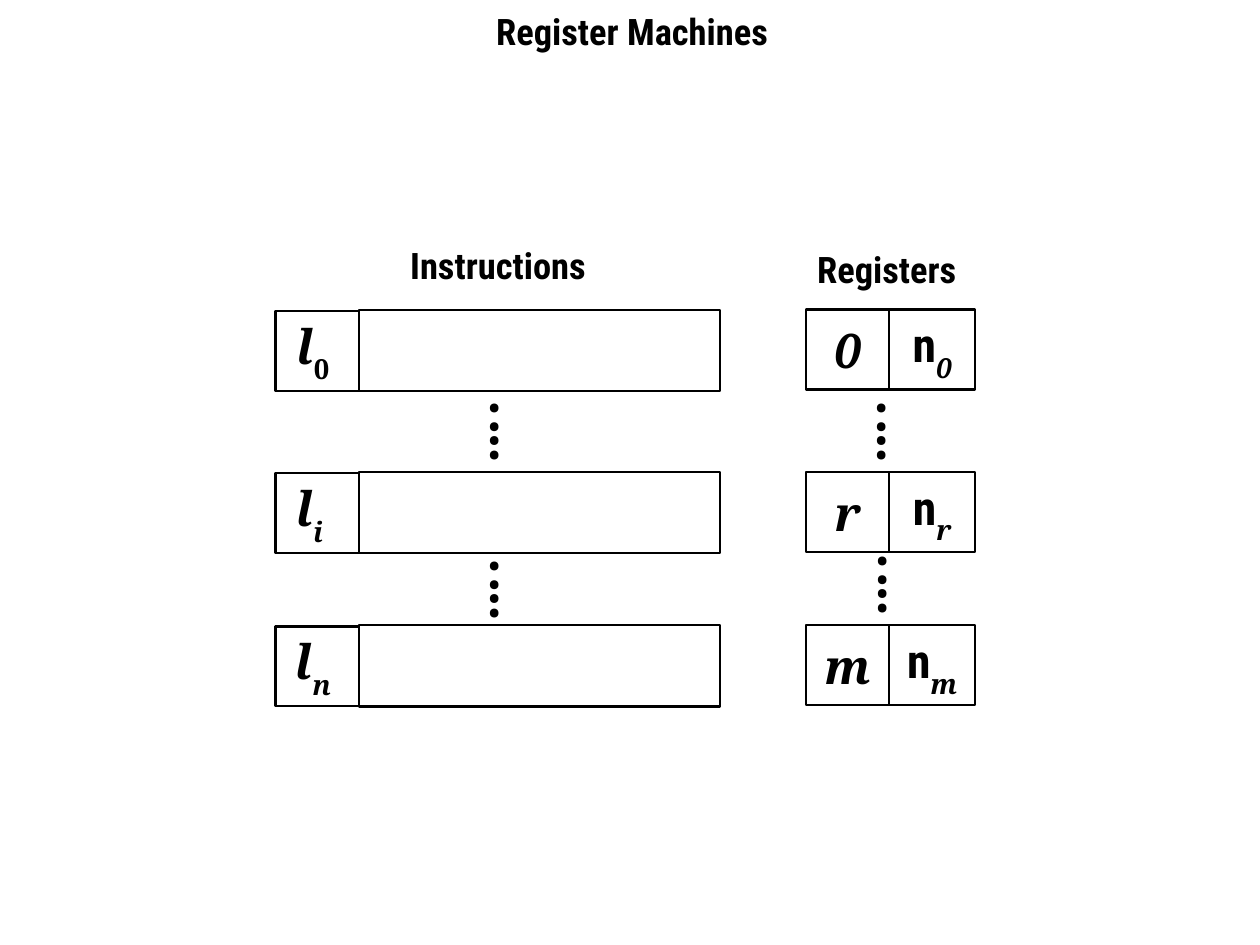
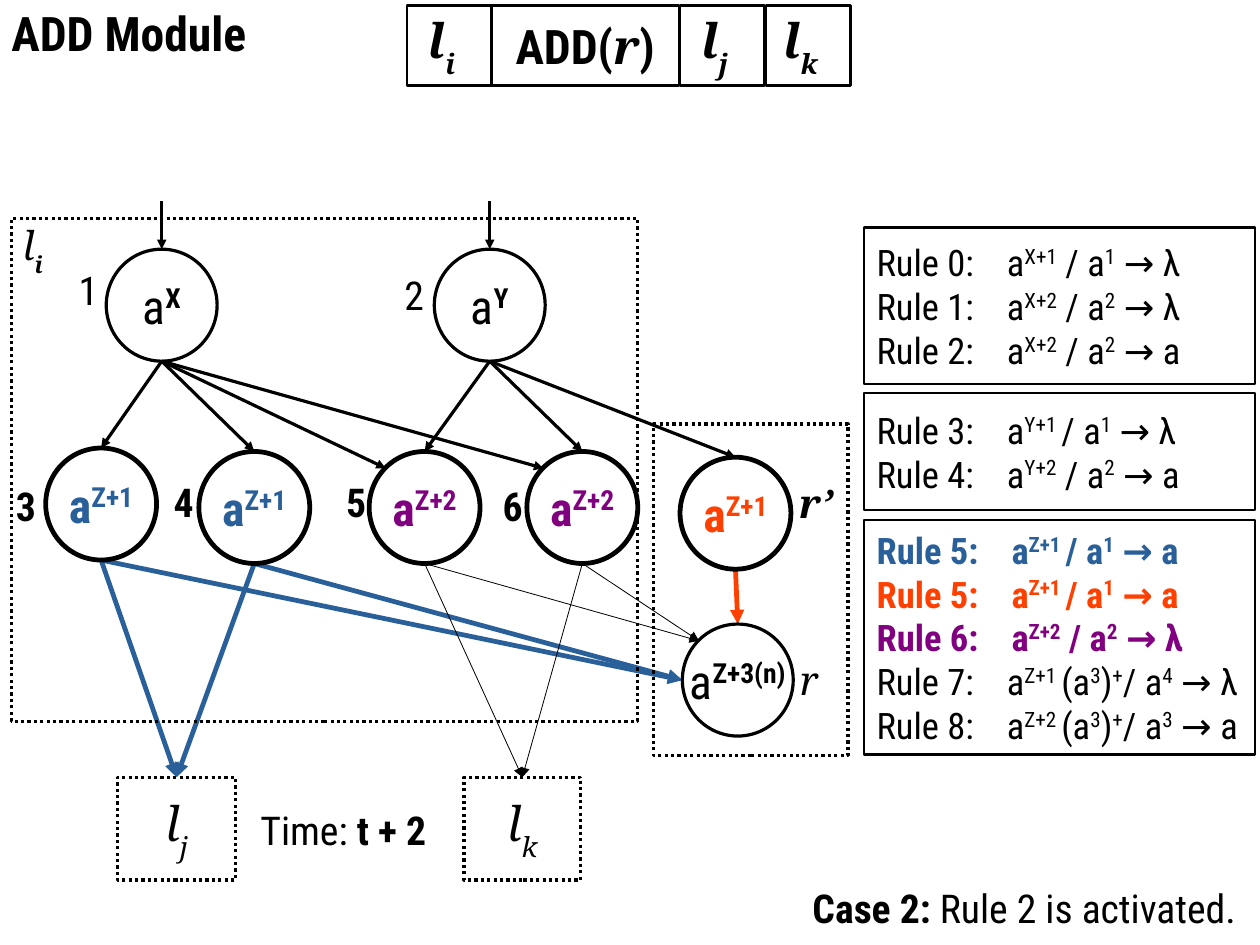
from dataclasses import dataclass, replace

from lxml.etree import SubElement
from pptx import Presentation
from pptx.dml.color import RGBColor
from pptx.enum.dml import MSO_LINE
from pptx.enum.shapes import MSO_CONNECTOR, MSO_SHAPE
from pptx.enum.text import MSO_ANCHOR, PP_ALIGN
from pptx.oxml.ns import qn
from pptx.slide import Slide
from pptx.text.text import Font, TextFrame
from pptx.util import Cm, Inches, Pt

COLORS = {
    "black": "000000",
    "blue": "2A6099",
    "orange": "FF4000",
    "purple": "800080",
}
SANS = "Roboto Condensed"
SERIF = "Noto Serif"
RAISED, LOWERED = 33, -33
CIRCLE_WIDTH, CIRCLE_HEIGHT = 0.97, 0.98
CELL_HEIGHT = 0.7
TITLE_LAYOUT = 5


@dataclass(frozen=True)
class Style:
    size: float
    name: str = SANS
    bold: bool = False
    italic: bool = False
    color: str = "black"


@dataclass(frozen=True)
class Span:
    text: str
    style: Style | None = None
    baseline: int = 0


@dataclass(frozen=True)
class Line:
    style: Style
    spans: tuple[Span, ...]
    tab: float = 0


@dataclass(frozen=True)
class Area:
    left: float
    top: float
    width: float
    height: float

    def point(self, across: float, down: float) -> tuple[float, float]:
        return self.left + across * self.width, self.top + down * self.height


@dataclass(frozen=True)
class Neuron:
    left: float
    top: float
    exponent: str
    color: str = "black"
    active: bool = False

    @property
    def area(self) -> Area:
        return Area(self.left, self.top, CIRCLE_WIDTH, CIRCLE_HEIGHT)


@dataclass(frozen=True)
class Arrow:
    start: tuple[float, float]
    end: tuple[float, float]
    color: str = "black"
    width: float = 2


@dataclass(frozen=True)
class Rule:
    number: int
    formula: str
    color: str = "black"


@dataclass(frozen=True)
class MachineRow:
    top: float
    label: str
    register: str
    label_italic: bool = True
    nudge: float = 0.07


HEADING = Style(23, bold=True)
BIG_TITLE = Style(30, bold=True)
SYMBOL = Style(30, SERIF, italic=True)
BOLD_SYMBOL = replace(SYMBOL, bold=True)
NOTE = Style(25)
BOLD_NOTE = replace(NOTE, bold=True)
SMALL_SYMBOL = Style(25, SERIF, italic=True)

MACHINE_ROWS = (
    MachineRow(2.71, "0", "0", label_italic=False),
    MachineRow(4.13, "i", "r", nudge=0.13),
    MachineRow(5.47, "n", "m"),
)

NEURONS = {
    "1": Neuron(0.93, 2.18, "X"),
    "2": Neuron(3.8, 2.18, "Y"),
    "3": Neuron(0.4, 3.92, "Z+1", "blue", True),
    "4": Neuron(1.74, 3.95, "Z+1", "blue", True),
    "5": Neuron(3.23, 3.95, "Z+2", "purple", True),
    "6": Neuron(4.61, 3.95, "Z+2", "purple", True),
    "r’": Neuron(5.95, 4, "Z+1", "orange", True),
    "r": Neuron(5.97, 5.46, "Z+3(n)"),
}
NEURON_LABELS = (
    ("1", 0.59, 2.28, NOTE),
    ("2", 3.44, 2.32, NOTE),
    ("3", 0.04, 4.17, BOLD_NOTE),
    ("4", 1.42, 4.13, BOLD_NOTE),
    ("5", 2.93, 4.13, BOLD_NOTE),
    ("6", 4.3, 4.17, BOLD_NOTE),
    ("r", 6.9, 5.69, SMALL_SYMBOL),
    ("r’", 6.89, 4.14, replace(SMALL_SYMBOL, bold=True)),
)
TOP, BOTTOM, LEFT, TOP_LEFT = (0.5, 0), (0.5, 1), (0, 0.5), (0.15, 0.15)
EDGES = (
    ("1", "3", TOP, "black", 2),
    ("1", "4", TOP, "black", 2),
    ("1", "5", TOP_LEFT, "black", 2),
    ("1", "6", TOP_LEFT, "black", 2),
    ("2", "5", TOP, "black", 2),
    ("2", "6", TOP, "black", 2),
    ("2", "r’", TOP, "black", 2),
    ("r’", "r", TOP, "orange", 3),
    ("6", "r", TOP_LEFT, "black", 0.5),
    ("5", "r", TOP_LEFT, "black", 0.5),
    ("4", "r", LEFT, "blue", 3),
    ("3", "r", LEFT, "blue", 3),
)
OUTPUTS = (
    ("j", Area(1.03, 6.8, 1.03, 0.9), ("3", "4"), "blue", 3),
    ("k", Area(4.06, 6.8, 1.02, 0.9), ("6", "5"), "black", 0.5),
)
RULE_BOXES = (
    (1.99, 1.37, (
        Rule(0, "a^X+1^ / a^1^ → λ"),
        Rule(1, "a^X+2^ / a^2^ → λ"),
        Rule(2, "a^X+2^ / a^2^ → a"),
    )),
    (3.44, 1.02, (
        Rule(3, "a^Y+1 ^/ a^1^ → λ"),
        Rule(4, "a^Y+2^ / a^2^ → a"),
    )),
    (4.55, 2.05, (
        Rule(5, "a^Z+1 ^/ a^1^ → a", "blue"),
        Rule(5, "a^Z+1 ^/ a^1^ → a", "orange"),
        Rule(6, "a^Z+2^ / a^2^ → λ", "purple"),
        Rule(7, "a^Z+1 ^(a^3^)^+^/ a^4^ → λ"),
        Rule(8, "a^Z+2 ^(a^3^)^+^/ a^3^ → a"),
    )),
)


def plain(text: str, style: Style) -> Line:
    return Line(style, (Span(text),))


def subscripted(base: str, index: str, style: Style, index_style: Style | None = None) -> Line:
    return Line(style, (Span(base), Span(index, index_style, LOWERED)))


def rule_line(rule: Rule) -> Line:
    bold = rule.color != "black"
    pieces = f"Rule {rule.number}:\t{rule.formula}".split("^")
    spans = tuple(
        Span(piece, baseline=RAISED if index % 2 else 0) for index, piece in enumerate(pieces)
    )
    return Line(Style(23, bold=bold, color=rule.color), spans, 1.18 if bold else 1.14)


def apply_style(font: Font, style: Style) -> None:
    font.size = Pt(style.size)
    font.name = style.name
    font.bold = style.bold
    font.italic = style.italic
    font.color.rgb = RGBColor.from_string(COLORS[style.color])


def write_lines(
    frame: TextFrame,
    lines: tuple[Line, ...],
    align: PP_ALIGN,
    anchor: MSO_ANCHOR,
    insets: tuple[float, float, float],
    wrap: bool,
) -> None:
    left, vertical, right = insets
    frame.margin_left, frame.margin_right = Inches(left), Inches(right)
    frame.margin_top = frame.margin_bottom = Inches(vertical)
    frame.vertical_anchor = anchor
    frame.word_wrap = wrap
    for index, line in enumerate(lines):
        para = frame.add_paragraph() if index else frame.paragraphs[0]
        para.alignment = align
        if line.tab:
            tabs = SubElement(para._p.get_or_add_pPr(), qn("a:tabLst"))
            SubElement(tabs, qn("a:tab"), pos=str(Inches(line.tab)), algn="l")
        apply_style(para.font, line.style)
        for span in line.spans:
            run = para.add_run()
            run.text = span.text
            if span.style:
                apply_style(run.font, span.style)
            if span.baseline:
                run._r.get_or_add_rPr().set("baseline", str(span.baseline * 1000))


def inches(area: Area) -> tuple[int, int, int, int]:
    return Inches(area.left), Inches(area.top), Inches(area.width), Inches(area.height)


def add_box(
    page: Slide,
    area: Area,
    lines: tuple[Line, ...] = (),
    width: float = 1.5,
    dotted: bool = False,
    kind: MSO_SHAPE = MSO_SHAPE.RECTANGLE,
    nudge: float = 0,
    listing: bool = False,
) -> None:
    box = page.shapes.add_shape(kind, *inches(area))
    box.shadow.inherit = False
    box.fill.background()
    box.line.color.rgb = RGBColor.from_string(COLORS["black"])
    box.line.width = Pt(width)
    if dotted:
        box.line.dash_style = MSO_LINE.ROUND_DOT
    if lines:
        align = PP_ALIGN.LEFT if listing else PP_ALIGN.CENTER
        right = 0.02 if listing else 0.11 + nudge
        write_lines(box.text_frame, lines, align, MSO_ANCHOR.MIDDLE, (0.11, 0.06, right), listing)


def add_label(page: Slide, area: Area, line: Line, rotation: float = 0) -> None:
    box = page.shapes.add_textbox(*inches(area))
    box.rotation = rotation
    write_lines(box.text_frame, (line,), PP_ALIGN.LEFT, MSO_ANCHOR.TOP, (0.1, 0.05, 0), True)


def add_arrow(page: Slide, arrow: Arrow) -> None:
    ends = [Inches(value) for value in (*arrow.start, *arrow.end)]
    connector = page.shapes.add_connector(MSO_CONNECTOR.STRAIGHT, *ends)
    connector.line.color.rgb = RGBColor.from_string(COLORS[arrow.color])
    connector.line.width = Pt(arrow.width)
    SubElement(connector.line._get_or_add_ln(), qn("a:tailEnd"), type="triangle")
    SubElement(connector._element.spPr, qn("a:effectLst"))


def add_page(deck: Presentation, area: Area, title: str, style: Style) -> Slide:
    page = deck.slides.add_slide(deck.slide_layouts[TITLE_LAYOUT])
    box = page.shapes.title
    box.left, box.top, box.width, box.height = inches(area)
    lines = (plain(title, style),)
    write_lines(box.text_frame, lines, PP_ALIGN.LEFT, MSO_ANCHOR.TOP, (0.1, 0.05, 0), True)
    return page


def build_register_machines(deck: Presentation) -> None:
    page = add_page(deck, Area(4.24, 0.03, 2.59, 0.52), "Register Machines", HEADING)
    add_label(page, Area(3.49, 2.08, 1.79, 0.52), plain("Instructions", HEADING))
    add_label(page, Area(7.05, 2.11, 1.49, 0.52), plain("Registers", HEADING))
    for row in MACHINE_ROWS:
        index_style = replace(BOLD_SYMBOL, italic=row.label_italic)
        label = subscripted("l", row.label, BOLD_SYMBOL, index_style)
        content = subscripted("n", row.register, BIG_TITLE, BOLD_SYMBOL)
        register = plain(row.register, BOLD_SYMBOL)
        add_box(page, Area(2.41, row.top + 0.01, 0.73, CELL_HEIGHT), (label,), nudge=row.nudge)
        add_box(page, Area(3.14, row.top, 3.16, 0.71))
        add_box(page, Area(7.05, row.top, 0.73, CELL_HEIGHT), (register,))
        add_box(page, Area(7.78, row.top, 0.75, CELL_HEIGHT), (content,))
    for left, top in ((3.71, 3.24), (3.71, 4.62), (7.09, 3.24), (7.1, 4.58)):
        add_label(page, Area(left, top, 0.84, 1.02), plain("….", Style(50)), 270)


def build_add_module(deck: Presentation) -> None:
    page = add_page(deck, Area(0, -0.02, 2.3, 0.65), "ADD Module", BIG_TITLE)
    for left, index in ((3.56, "i"), (5.95, "j"), (6.7, "k")):
        cell = Area(left, 0.05, 0.74, CELL_HEIGHT)
        add_box(page, cell, (subscripted("l", index, BOLD_SYMBOL),), nudge=0.13)
    instruction = Line(BIG_TITLE, (Span("ADD("), Span("r", BOLD_SYMBOL), Span(")")))
    add_box(page, Area(4.3, 0.05, 1.64, CELL_HEIGHT), (instruction,))

    for name in ("1", "2"):
        across, down = NEURONS[name].area.point(*TOP)
        add_arrow(page, Arrow((across, 1.76), (across, down)))
    for source, target, site, color, width in EDGES:
        start = NEURONS[source].area.point(*BOTTOM)
        add_arrow(page, Arrow(start, NEURONS[target].area.point(*site), color, width))
    for index, area, sources, color, width in OUTPUTS:
        for source in sources:
            start = NEURONS[source].area.point(*BOTTOM)
            add_arrow(page, Arrow(start, area.point(*TOP), color, width))
        add_box(page, area, (subscripted("l", index, SYMBOL),), 2, True)

    for neuron in NEURONS.values():
        style = Style(30, bold=neuron.active, color=neuron.color)
        exponent = Span(neuron.exponent, replace(style, bold=True), RAISED)
        line = Line(style, (Span("a"), exponent))
        add_box(page, neuron.area, (line,), 3 if neuron.active else 2, kind=MSO_SHAPE.OVAL)
    for name, left, top, style in NEURON_LABELS:
        add_label(page, Area(left, top, 0.51 if name == "r’" else 0.4, 0.57), plain(name, style))

    add_box(page, Area(0.1, 1.91, 5.48, 4.4), width=2, dotted=True)
    add_box(page, Area(5.72, 3.71, 1.7, 2.9), width=2, dotted=True)
    module = subscripted("l", "i", SMALL_SYMBOL, replace(SMALL_SYMBOL, bold=True))
    add_label(page, Area(0.1, 1.88, 0.5, 0.65), module)
    for top, height, rules in RULE_BOXES:
        lines = tuple(rule_line(rule) for rule in rules)
        add_box(page, Area(7.56, top, 3.42, height), lines, listing=True)
    time = Line(NOTE, (Span("Time: "), Span("t + 2", BOLD_NOTE)))
    add_label(page, Area(2.18, 7, 1.72, 0.56), time)
    case = Line(NOTE, (Span("Case 2: ", BOLD_NOTE), Span("Rule 2 is activated.")))
    add_label(page, Area(7.01, 7.68, 3.99, 0.56), case)


def main() -> None:
    deck = Presentation()
    deck.slide_width = Cm(28)
    deck.slide_height = Cm(21)
    build_register_machines(deck)
    build_add_module(deck)
    deck.save("out.pptx")


if __name__ == "__main__":
    main()
